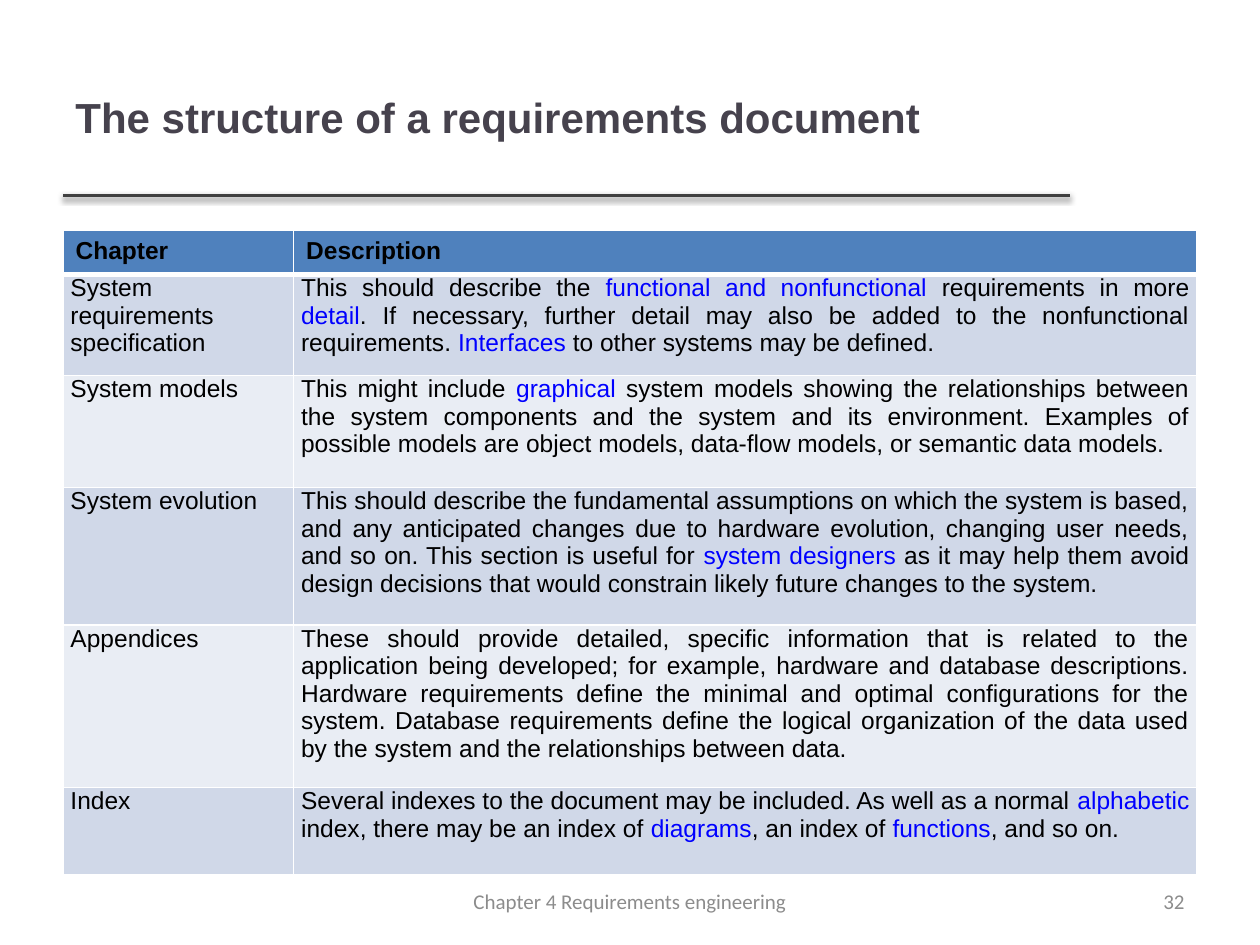
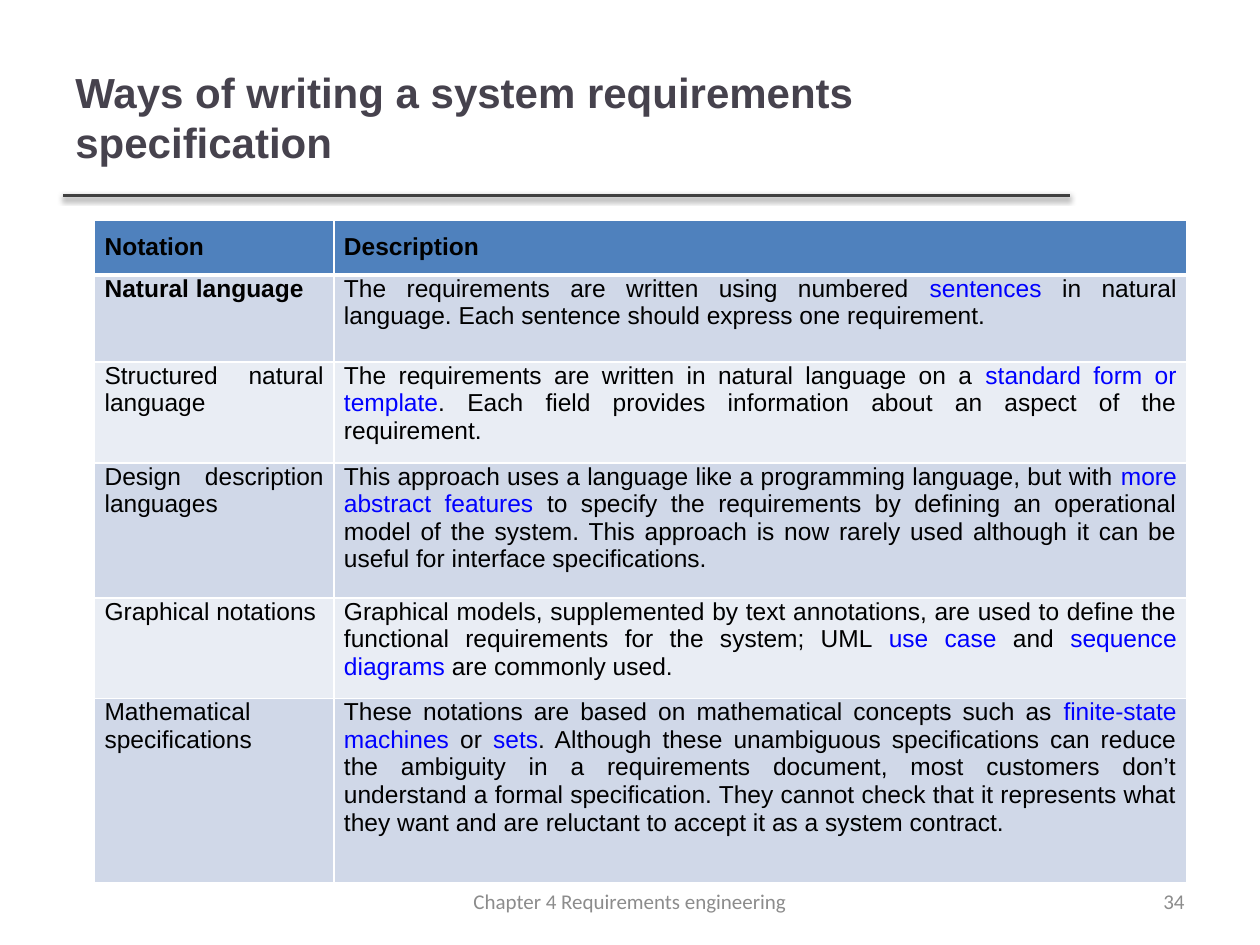
import pptx
import pptx.util
import pptx.dml.color
import pptx.enum.shapes
import pptx.enum.text
import pptx.oxml.ns
import lxml.etree

Pt = pptx.util.Pt
qn = pptx.oxml.ns.qn
ALIGN = pptx.enum.text.PP_ALIGN
COLORS = {
    "title": "46424D", "rule": "404040", "shadow": "000000", "footer": "8C8C8C",
    "text": "000000", "highlight": "0000FF", "border": "FFFFFF",
    "header": "4F81BD", "odd": "D0D8E8", "even": "E9EDF4",
}

pages = [
    {
        "title": "The structure of a requirements document",
        "number": "32",
        "origin": (36, 131.8),
        "columns": [131.8, 516.2],
        "heights": [25, 54.7, 64.1, 78.5, 92.9, 49.7],
        "side": 4.3,
        "header_margins": (7.2, 3.6),
        "header_align": ALIGN.LEFT,
        "bold_cells": [],
        "rows": [
            ("Chapter", "Description"),
            ("System requirements specification",
             "This should describe the |functional and nonfunctional |requirements in more |detail|. "
             "If necessary, further detail may also be added to the nonfunctional requirements. "
             "|Interfaces| to other systems may be defined."),
            ("System models",
             "This might include |graphical| system models showing the relationships between the "
             "system components and the system and its environment. Examples of possible models "
             "are object models, data-flow models, or semantic data models."),
            ("System evolution",
             "This should describe the fundamental assumptions on which the system is based, and "
             "any anticipated changes due to hardware evolution, changing user needs, and so on. "
             "This section is useful for |system designers |as it may help them avoid design "
             "decisions that would constrain likely future changes to the system."),
            ("Appendices",
             "These should provide detailed, specific information that is related to the "
             "application being developed; for example, hardware and database descriptions. "
             "Hardware requirements define the minimal and optimal configurations for the system. "
             "Database requirements define the logical organization of the data used by the "
             "system and the relationships between data."),
            ("Index",
             "Several indexes to the document may be included. As well as a normal |alphabetic| "
             "index, there may be an index of |diagrams|, an index of |functions|, and so on."),
        ],
    },
    {
        "title": "Ways of writing a system requirements specification",
        "number": "34",
        "origin": (54, 126),
        "columns": [136.8, 487.4],
        "heights": [28.8, 49.7, 54.6, 77, 54.6, 105.1],
        "side": 5.76,
        "header_margins": (5.76, 7.2),
        "header_align": ALIGN.JUSTIFY,
        "bold_cells": ["Natural language"],
        "rows": [
            ("Notation", "Description"),
            ("Natural language",
             "The requirements are written using numbered |sentences| in natural language. Each "
             "sentence should express one requirement."),
            ("Structured natural language",
             "The requirements are written in natural language on a |standard form or template|. "
             "Each field provides information about an aspect of the requirement."),
            ("Design description languages",
             "This approach uses a language like a programming language, but with |more abstract "
             "features |to specify the requirements by defining an operational model of the "
             "system. This approach is now rarely used although it can be useful for interface "
             "specifications."),
            ("Graphical notations",
             "Graphical models, supplemented by text annotations, are used to define the "
             "functional requirements for the system; UML |use case |and |sequence diagrams| are "
             "commonly used."),
            ("Mathematical specifications",
             "These notations are based on mathematical concepts such as |finite-state machines| "
             "or |sets|. Although these unambiguous specifications can reduce the ambiguity in a "
             "requirements document, most customers don’t understand a formal specification. They "
             "cannot check that it represents what they want and are reluctant to accept it as a "
             "system contract."),
        ],
    },
]


def rgb(name):
    return pptx.dml.color.RGBColor.from_string(COLORS[name])


def write(frame, text, font, size, color, align, bold=False):
    frame.word_wrap = True
    paragraph = frame.paragraphs[0]
    paragraph.alignment = align
    paragraph.font.name = font
    paragraph.font.size = Pt(size)
    paragraph.font.bold = bold
    paragraph.font.color.rgb = rgb(color)
    for index, part in enumerate(text.split("|")):
        run = paragraph.add_run()
        run.text = part
        if index % 2:
            run.font.color.rgb = rgb("highlight")


deck = pptx.Presentation()
deck.slide_width, deck.slide_height = Pt(720), Pt(540)

for page in pages:
    slide = deck.slides.add_slide(deck.slide_layouts[6])

    rule = slide.shapes.add_connector(
        pptx.enum.shapes.MSO_CONNECTOR.STRAIGHT, Pt(36), Pt(111.6), Pt(611.3), Pt(111.6))
    rule.line.color.rgb = rgb("rule")
    rule.line.width = Pt(2)
    effects = lxml.etree.SubElement(rule.element.spPr, qn("a:effectLst"))
    shadow = lxml.etree.SubElement(
        effects, qn("a:outerShdw"), blurRad=str(Pt(3.1)), dist=str(Pt(1.6)),
        dir="5400000", rotWithShape="0")
    shade = lxml.etree.SubElement(shadow, qn("a:srgbClr"), val=COLORS["shadow"])
    lxml.etree.SubElement(shade, qn("a:alpha"), val="38000")

    for text, box, font, size, color, align, bold in [
        (page["title"], (36, 21.6, 574.6, 90), "Arial", 24, "title", ALIGN.LEFT, True),
        (page["number"], (516, 500.5, 168, 28.8), "Calibri", 12, "footer", ALIGN.RIGHT, False),
        ("Chapter 4 Requirements engineering", (246, 500.5, 228, 28.8),
         "Calibri", 12, "footer", ALIGN.CENTER, False),
    ]:
        frame = slide.shapes.add_textbox(*map(Pt, box)).text_frame
        frame.vertical_anchor = pptx.enum.text.MSO_ANCHOR.MIDDLE
        write(frame, text, font, size, color, align, bold)

    table = slide.shapes.add_table(
        len(page["rows"]), len(page["columns"]), *map(Pt, page["origin"]),
        Pt(sum(page["columns"])), Pt(sum(page["heights"]))).table
    for column, width in zip(table.columns, page["columns"]):
        column.width = Pt(width)

    for r, texts in enumerate(page["rows"]):
        table.rows[r].height = Pt(page["heights"][r])
        for c, text in enumerate(texts):
            cell = table.cell(r, c)
            is_header = r == 0
            side, top = page["header_margins"] if is_header else (page["side"], 0)
            cell.margin_left = cell.margin_right = Pt(side)
            cell.margin_top = Pt(top)
            cell.margin_bottom = Pt(top if is_header else 7.2)

            properties = cell._tc.get_or_add_tcPr()
            for edge in ("lnL", "lnR", "lnT", "lnB"):
                thick = (r, edge) in [(0, "lnB"), (1, "lnT")]
                border = lxml.etree.SubElement(
                    properties, qn(f"a:{edge}"), w=str(Pt(3 if thick else 1)))
                fill = lxml.etree.SubElement(border, qn("a:solidFill"))
                lxml.etree.SubElement(fill, qn("a:srgbClr"), val=COLORS["border"])

            cell.fill.solid()
            cell.fill.fore_color.rgb = rgb("header" if is_header else "odd" if r % 2 else "even")
            align = ALIGN.JUSTIFY
            if is_header:
                align = page["header_align"] if c else ALIGN.LEFT
            write(cell.text_frame, text, "Arial", 14, "text", align,
                  is_header or text in page["bold_cells"])

deck.save("out.pptx")
